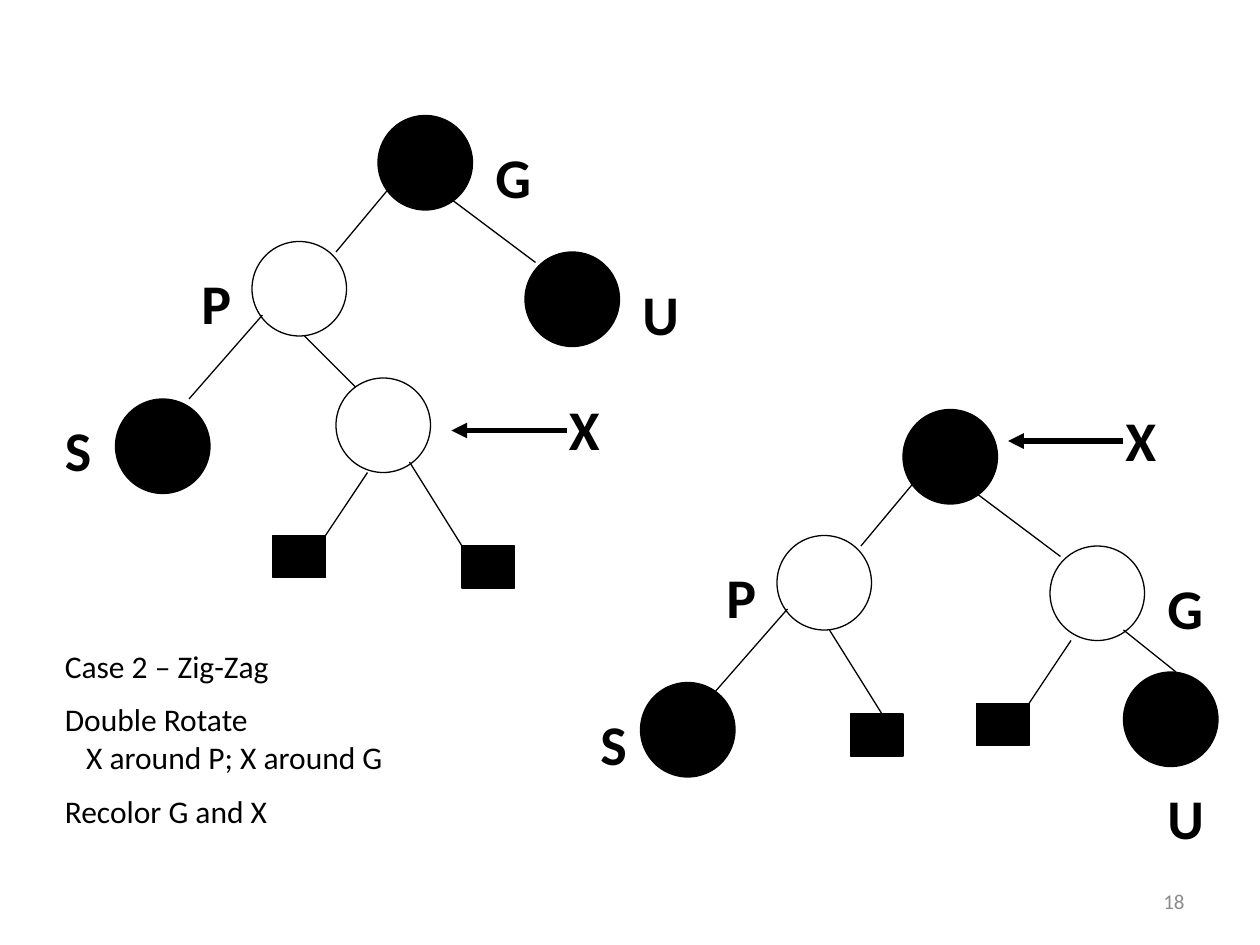
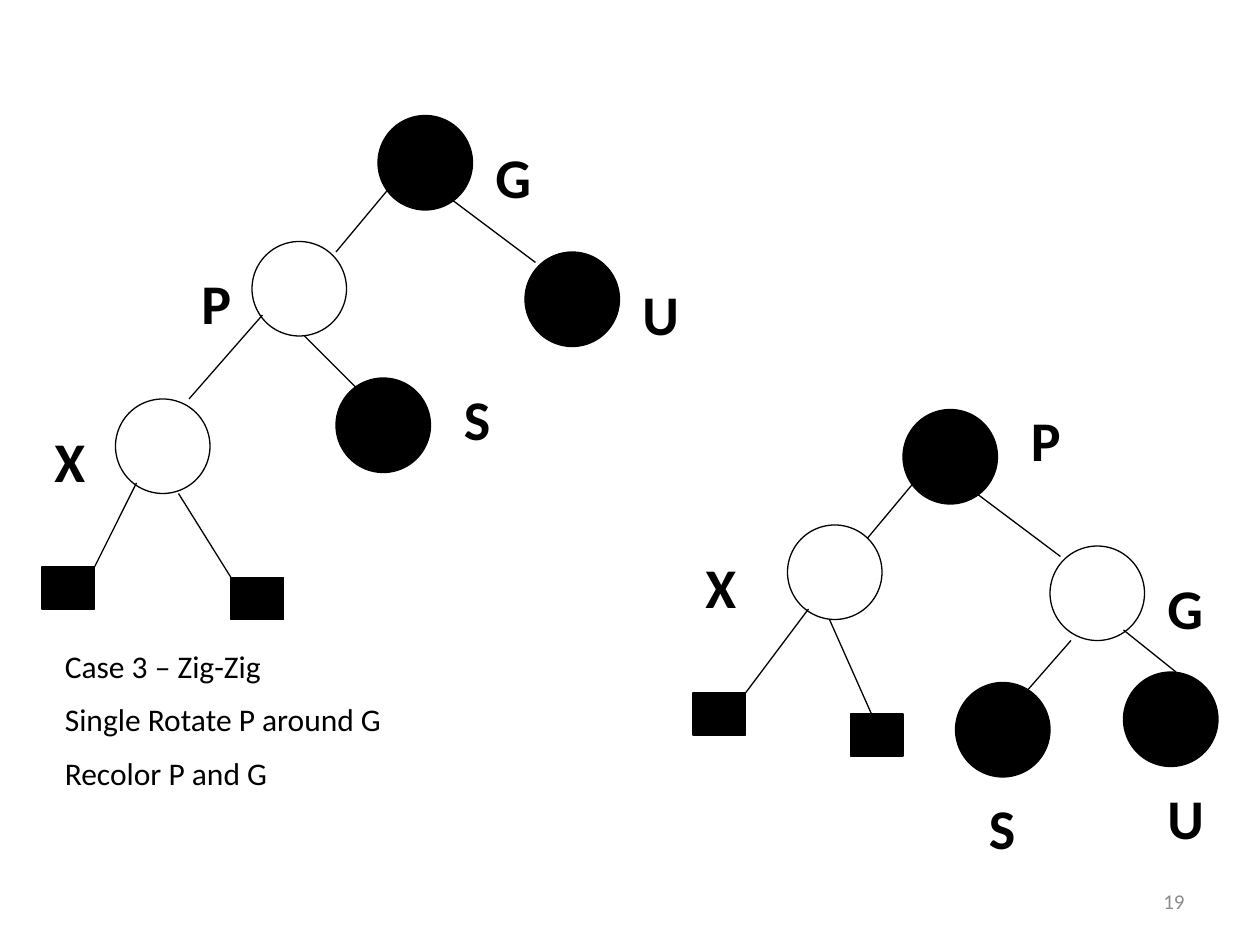
from dataclasses import dataclass

import lxml.etree
import pptx
import pptx.dml.color
import pptx.enum.shapes
import pptx.enum.text
import pptx.oxml.ns
import pptx.slide
import pptx.text.text
import pptx.util

Pt = pptx.util.Pt
Slide = pptx.slide.Slide
qn = pptx.oxml.ns.qn
SHAPE = pptx.enum.shapes.MSO_SHAPE
ALIGN = pptx.enum.text.PP_ALIGN
ANCHOR = pptx.enum.text.MSO_ANCHOR

FONT = "Calibri"
COLORS = {"black": "000000", "white": "FFFFFF", "gray": "8C8C8C"}


@dataclass(frozen=True)
class Node:
    x: float
    y: float
    fill: str = "black"


@dataclass(frozen=True)
class Leaf:
    x: float
    y: float


@dataclass(frozen=True)
class Edge:
    x1: float
    y1: float
    x2: float
    y2: float
    arrow: bool = False


@dataclass(frozen=True)
class Label:
    text: str
    x: float
    y: float
    width: float = 30


@dataclass(frozen=True)
class Line:
    text: str
    before: float = 9
    indent: float = 0


@dataclass(frozen=True)
class Case:
    number: str
    items: list
    lines: list


ROOT_OFFSET = (300, 168)
ROOT_EDGES = [Edge(222, 108, 192, 144), Edge(258, 114, 306, 150)]
LEFT_EDGE = Edge(150, 180, 108, 228)


def moved(edge: Edge) -> Edge:
    dx, dy = ROOT_OFFSET
    return Edge(edge.x1 + dx, edge.y1 + dy, edge.x2 + dx, edge.y2 + dy)


BEFORE_TREE = [
    Node(216, 66), Node(144, 138, "white"), Node(300, 144),
    *ROOT_EDGES, LEFT_EDGE, Edge(174, 192, 204, 222),
    Label("P", 108, 150), Label("G", 276, 78, 42), Label("U", 360, 156),
]
AFTER_TREE = [
    Node(516, 234), Node(600, 312, "white"), Node(642, 384), Leaf(486, 408),
    *map(moved, ROOT_EDGES), Edge(642, 360, 672, 384),
    Label("G", 660, 324), Label("U", 660, 444),
]

ZIG_ZAG = Case(
    "18",
    BEFORE_TREE + [
        Node(192, 216, "white"), Node(66, 228), Leaf(156, 306), Leaf(264, 312),
        Edge(210, 270, 186, 306), Edge(234, 264, 264, 312),
        Label("X", 318, 222, 54), Edge(324, 246, 258, 246, True),
        Label("S", 30, 234, 42),
    ] + AFTER_TREE + [
        Node(444, 306, "white"), Node(366, 390), Leaf(558, 402),
        moved(LEFT_EDGE), Edge(474, 360, 504, 408), Edge(612, 366, 588, 402),
        Label("X", 636, 228, 54), Edge(642, 252, 576, 252, True),
        Label("P", 408, 318), Label("S", 336, 402),
    ],
    [
        Line("Case 2 – Zig-Zag", 0),
        Line("Double Rotate"),
        Line("X around P; X around G", 0, 12.2),
        Line("Recolor G and X"),
    ],
)
ZIG_ZIG = Case(
    "19",
    BEFORE_TREE + [
        Node(192, 216), Node(66, 228, "white"), Leaf(24, 324), Leaf(132, 330),
        Edge(78, 276, 54, 324), Edge(102, 282, 132, 330),
        Label("X", 24, 240, 54), Label("S", 258, 216, 42),
    ] + AFTER_TREE + [
        Node(450, 300, "white"), Node(546, 390), Leaf(396, 396),
        Edge(462, 348, 426, 396), Edge(474, 354, 498, 408), Edge(612, 366, 570, 414),
        Label("P", 582, 228, 54), Label("X", 396, 312), Label("S", 558, 450),
    ],
    [
        Line("Case 3 – Zig-Zig", 0),
        Line("Single Rotate P around G"),
        Line("Recolor P and G"),
    ],
)


def rgb(name: str) -> pptx.dml.color.RGBColor:
    return pptx.dml.color.RGBColor.from_string(COLORS[name])


def add_outlined(s: Slide, kind: SHAPE, x: float, y: float,
                 w: float, h: float, fill: str) -> None:
    sp = s.shapes.add_shape(kind, Pt(x), Pt(y), Pt(w), Pt(h))
    sp.shadow.inherit = False
    sp.fill.solid()
    sp.fill.fore_color.rgb = rgb(fill)
    sp.line.color.rgb = rgb("black")
    sp.line.width = Pt(0.75)


def add_edge(s: Slide, edge: Edge) -> None:
    cx = s.shapes.add_connector(
        pptx.enum.shapes.MSO_CONNECTOR.STRAIGHT,
        Pt(edge.x1), Pt(edge.y1), Pt(edge.x2), Pt(edge.y2))
    cx.line.color.rgb = rgb("black")
    cx.line.width = Pt(3 if edge.arrow else 0.75)
    if edge.arrow:
        ln = cx.line._get_or_add_ln()
        lxml.etree.SubElement(ln, qn("a:tailEnd"), type="triangle")
    lxml.etree.SubElement(cx._element.spPr, qn("a:effectLst"))


def add_textbox(s: Slide, x: float, y: float, w: float, h: float) -> pptx.text.text.TextFrame:
    tf = s.shapes.add_textbox(Pt(x), Pt(y), Pt(w), Pt(h)).text_frame
    tf.word_wrap = True
    return tf


def format_runs(p: pptx.text.text._Paragraph, size: float,
                color: str = "black", bold: bool = False) -> None:
    for r in p.runs:
        r.font.name = FONT
        r.font.size = Pt(size)
        r.font.bold = bold
        r.font.color.rgb = rgb(color)


def add_label(s: Slide, label: Label) -> None:
    tf = add_textbox(s, label.x, label.y, label.width, 45)
    tf.text = label.text
    format_runs(tf.paragraphs[0], 32, bold=True)


def add_item(s: Slide, item: Node | Leaf | Edge | Label) -> None:
    if isinstance(item, Node):
        add_outlined(s, SHAPE.OVAL, item.x, item.y, 54, 54, item.fill)
    elif isinstance(item, Leaf):
        add_outlined(s, SHAPE.RECTANGLE, item.x, item.y, 30, 24, "black")
    elif isinstance(item, Edge):
        add_edge(s, item)
    else:
        add_label(s, item)


def add_notes_text(s: Slide, lines: list[Line]) -> None:
    tf = add_textbox(s, 30, 366, 288, 30 * len(lines))
    tf.text = "\n".join(line.text for line in lines)
    for p, line in zip(tf.paragraphs, lines):
        p.space_before = Pt(line.before)
        if line.indent:
            p._p.get_or_add_pPr().set("marL", str(Pt(line.indent)))
        format_runs(p, 18)


def add_page_number(s: Slide, number: str) -> None:
    tf = add_textbox(s, 516, 500.5, 168, 28.75)
    tf.vertical_anchor = ANCHOR.MIDDLE
    tf.text = number
    p = tf.paragraphs[0]
    p.alignment = ALIGN.RIGHT
    format_runs(p, 12, "gray")


def add_case(prs, case: Case) -> None:
    s = prs.slides.add_slide(prs.slide_layouts[6])
    add_page_number(s, case.number)
    for item in case.items:
        add_item(s, item)
    add_notes_text(s, case.lines)


def main() -> None:
    prs = pptx.Presentation()
    prs.slide_width, prs.slide_height = Pt(720), Pt(540)
    for case in (ZIG_ZAG, ZIG_ZIG):
        add_case(prs, case)
    prs.save("out.pptx")


if __name__ == "__main__":
    main()
